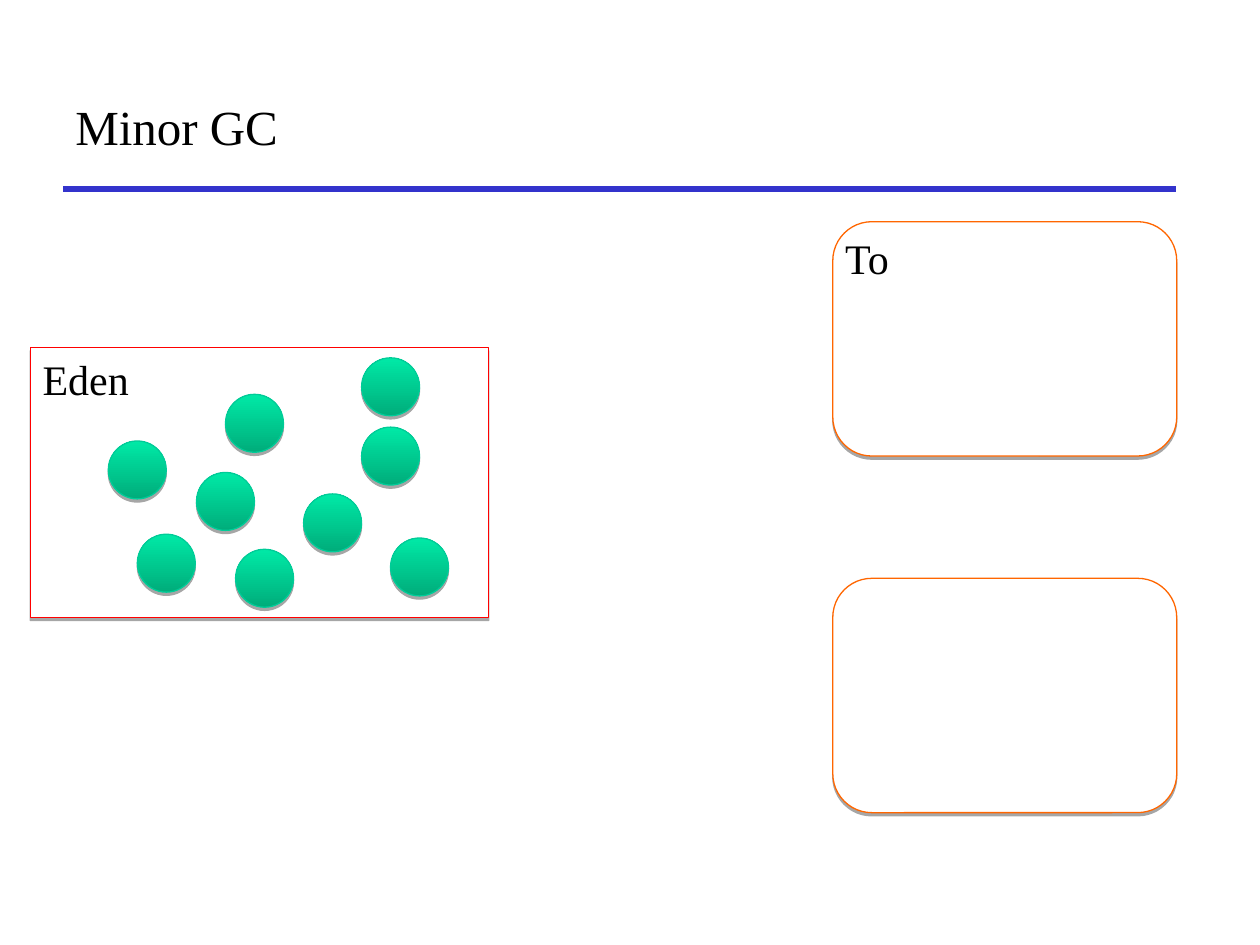
from lxml import etree
from pptx import Presentation
from pptx.dml.color import RGBColor
from pptx.enum import shapes, text
from pptx.oxml import ns
from pptx.util import Inches, Pt

OBJECT_SIZE = 0.46
EDEN_OBJECTS = [
    (0.62, 0.74), (1.55, 0.37), (2.17, 1.16),
    (0.85, 1.48), (2.63, 0.63), (1.32, 0.99),
    (2.63, 0.08), (1.63, 1.6), (2.86, 1.51),
]


def color(value):
    """Turn a hex string into a colour."""
    return RGBColor.from_string(value)


def add_shadow(shape):
    """Give a shape a hard, translucent shadow straight below it."""
    shape.shadow.inherit = False
    effects = shape._element.spPr.find(ns.qn("a:effectLst"))
    shadow = etree.SubElement(effects, ns.qn("a:outerShdw"), blurRad="0",
                              dist=str(Pt(1.8)), dir="5400000", rotWithShape="0")
    black = etree.SubElement(shadow, ns.qn("a:srgbClr"), val="000000")
    etree.SubElement(black, ns.qn("a:alpha"), val="35000")


def add_outlined(slide, kind, box, line):
    """Add a white preset shape with a thin outline and a shadow."""
    shape = slide.shapes.add_shape(kind, *map(Inches, box))
    shape.fill.solid()
    shape.fill.fore_color.rgb = color("FFFFFF")
    shape.line.color.rgb = color(line)
    shape.line.width = Pt(0.75)
    add_shadow(shape)
    return shape


def add_text(slide, words, box, size=24, anchor=text.MSO_ANCHOR.TOP):
    """Add one line of black text in a box."""
    frame = slide.shapes.add_textbox(*map(Inches, box)).text_frame
    frame.word_wrap = True
    frame.vertical_anchor = anchor
    run = frame.paragraphs[0].add_run()
    run.text = words
    run.font.name = "Times New Roman"
    run.font.size = Pt(size)
    run.font.color.rgb = color("000000")


def add_header(slide, left, top, width, height):
    """Add the title and the rule along its bottom edge."""
    bottom = Inches(top + height)
    rule = slide.shapes.add_connector(shapes.MSO_CONNECTOR.STRAIGHT, Inches(left),
                                      bottom, Inches(left + width), bottom)
    rule.line.color.rgb = color("3333CC")
    rule.line.width = Pt(3)
    etree.SubElement(rule._element.spPr, ns.qn("a:effectLst"))
    add_text(slide, "Minor GC", (left, top, width, height), size=28,
             anchor=text.MSO_ANCHOR.MIDDLE)


def add_object(slide, left, top):
    """Add one live object as a green ball."""
    ball = add_outlined(slide, shapes.MSO_SHAPE.OVAL,
                        (left, top, OBJECT_SIZE, OBJECT_SIZE), "00CC98")
    ball.fill.gradient()
    ball.fill.gradient_angle = 90
    for stop, shade in zip(ball.fill.gradient_stops, ("00AD7B", "00E9A6")):
        stop.color.rgb = color(shade)


def add_eden(slide, left, top, width, height):
    """Add the Eden space with its objects."""
    add_outlined(slide, shapes.MSO_SHAPE.RECTANGLE,
                 (left, top, width, height), "FF0000")
    add_text(slide, "Eden", (left, top, 1.43, 0.5))
    for dx, dy in EDEN_OBJECTS:
        add_object(slide, left + dx, top + dy)


def add_survivor(slide, left, top, width, height, label=None):
    """Add a survivor space, with a label if it has one."""
    add_outlined(slide, shapes.MSO_SHAPE.ROUNDED_RECTANGLE,
                 (left, top, width, height), "FF6600")
    if label:
        add_text(slide, label, (left, top + 0.04, 1.48, 0.5))


def main():
    """Build the slide and save it."""
    deck = Presentation()
    deck.slide_width, deck.slide_height = Inches(10), Inches(7.5)
    slide = deck.slides.add_slide(deck.slide_layouts[6])
    add_header(slide, 0.5, 0.5, 8.83, 1)
    add_eden(slide, 0.24, 2.76, 3.64, 2.14)
    add_survivor(slide, 6.61, 1.76, 2.73, 1.86, label="To")
    add_survivor(slide, 6.61, 4.59, 2.73, 1.86)
    deck.save("out.pptx")


if __name__ == "__main__":
    main()
